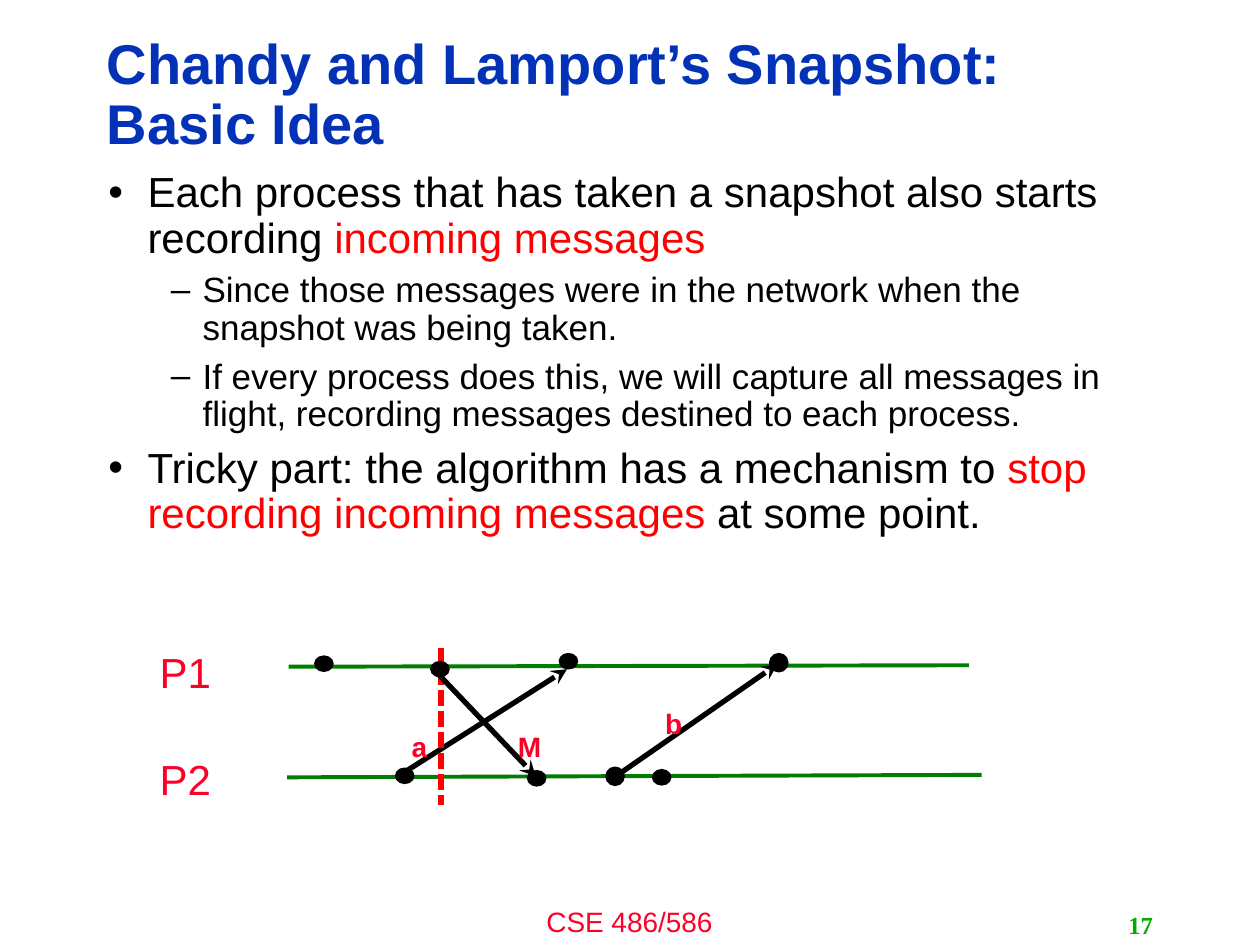
"""Build a slide on the basic idea of the Chandy and Lamport snapshot."""
from lxml.etree import SubElement
from pptx import Presentation
from pptx.dml.color import RGBColor
from pptx.enum.dml import MSO_LINE
from pptx.enum.shapes import MSO_CONNECTOR, MSO_SHAPE
from pptx.enum.text import MSO_ANCHOR, MSO_AUTO_SIZE, PP_ALIGN
from pptx.oxml.ns import qn
from pptx.util import Cm, Pt

HUES = {"title": "0332B7", "text": "000000", "mark": "FF0000",
        "label": "FC0128", "lane": "037C03", "page": "00AE00"}


def style(font, size, hue, bold=False, face="Arial"):
    font.name, font.size, font.bold = face, Pt(size), bold
    font.color.rgb = RGBColor.from_string(HUES[hue])


def place(shape, *box):
    shape.left, shape.top, shape.width, shape.height = map(Cm, box)


deck = Presentation()
deck.slide_width, deck.slide_height = Cm(25.4), Cm(19.05)
slide = deck.slides.add_slide(deck.slide_layouts[1])
shapes = slide.shapes

title, body = slide.placeholders
place(title, 1.9, 0.91, 20.27, 2.06)
frame = title.text_frame
frame.text = "Chandy and Lamport’s Snapshot: Basic Idea"
frame.auto_size = MSO_AUTO_SIZE.NONE
frame.vertical_anchor = MSO_ANCHOR.MIDDLE
para = frame.paragraphs[0]
para.alignment, para.line_spacing = PP_ALIGN.LEFT, 0.9
style(para.runs[0].font, 32, "title", True)

place(body, 1.93, 3.33, 21.34, 13.69)
frame = body.text_frame
frame.auto_size = MSO_AUTO_SIZE.NONE
points = [
    (0, [("Each process that has taken a snapshot also starts recording ", "text"),
         ("incoming messages", "mark")]),
    (1, [("Since those messages were in the network when the snapshot was being taken.",
          "text")]),
    (1, [("If every process does this, we will capture all messages in flight, "
          "recording messages destined to each process.", "text")]),
    (0, [("Tricky part: the algorithm has a mechanism to ", "text"),
         ("stop recording incoming messages", "mark"),
         (" at some point.", "text")]),
]
levels = [(24, 0.79, 0.79, "•"), (20, 1.9, 0.64, "–")]
for i, (level, parts) in enumerate(points):
    para = frame.add_paragraph() if i else frame.paragraphs[0]
    size, left, hang, mark = levels[level]
    para.level = level
    props = para._p.get_or_add_pPr()
    props.set("marL", str(Cm(left)))
    props.set("indent", str(-Cm(hang)))
    SubElement(props, qn("a:buChar")).set("char", mark)
    para.line_spacing = 0.9
    para.space_before = Pt(0.3 * size if i else 0)
    for words, hue in parts:
        run = para.add_run()
        run.text = words
        style(run.font, size, hue)

lines = [
    (5.82, 13.44, 19.53, 13.41, "lane", 2.25),
    (5.79, 15.67, 19.79, 15.62, "lane", 2.25),
    (8.1, 15.6, 11.43, 13.49, "text", 3),
    (8.89, 13.06, 8.89, 16.23, "mark", 3),
    (12.34, 15.7, 15.67, 13.39, "text", 3),
    (8.79, 13.54, 10.8, 15.65, "text", 3),
]
for *ends, hue, width in lines:
    link = shapes.add_connector(MSO_CONNECTOR.STRAIGHT, *map(Cm, ends))
    link.line.color.rgb = RGBColor.from_string(HUES[hue])
    link.line.width = Pt(width)
    props = link._element.spPr
    if hue == "mark":
        link.line.dash_style = MSO_LINE.SQUARE_DOT
    if hue == "text":
        SubElement(props.find(qn("a:ln")), qn("a:tailEnd")).set("type", "stealth")
    SubElement(props, qn("a:effectLst"))

dots = [(6.35, 13.23, 0.3), (7.98, 15.49, 0.3), (13.16, 15.52, 0.3),
        (11.28, 13.18, 0.3), (8.69, 13.34, 0.3), (10.64, 15.54, 0.3),
        (12.22, 15.47, 0.36), (15.52, 13.18, 0.36)]
for x, y, high in dots:
    dot = shapes.add_shape(MSO_SHAPE.OVAL, Cm(x), Cm(y), Cm(0.36), Cm(high))
    dot.shadow.inherit = False
    dot.fill.solid()
    dot.fill.fore_color.rgb = RGBColor.from_string(HUES["text"])
    dot.line.color.rgb = RGBColor.from_string(HUES["text"])
    dot.line.width = Pt(1)

left, mid, right = PP_ALIGN.LEFT, PP_ALIGN.CENTER, PP_ALIGN.RIGHT
labels = [
    ("P1", (2.97, 12.9, 3.2, 1.17), left, (24, "label")),
    ("P2", (2.97, 15.06, 3.2, 1.17), left, (24, "label")),
    ("a", (8.05, 14.58, 1.02, 0.86), left, (16, "label", True)),
    ("b", (13.16, 14.12, 1.02, 0.97), left, (16, "label", True)),
    ("M", (10.19, 14.58, 1.02, 0.86), left, (16, "label", True)),
    ("CSE 486/586", (8.46, 18.11, 8.46, 0.94), mid, (16, "label")),
    ("17", (18.21, 18.24, 5.28, 0.81), right, (14, "page", True, "Times New Roman")),
]
for words, box, align, look in labels:
    frame = shapes.add_textbox(*map(Cm, box)).text_frame
    frame.text = words
    frame.word_wrap = True
    if align == right:
        frame.vertical_anchor = MSO_ANCHOR.MIDDLE
    para = frame.paragraphs[0]
    para.alignment = align
    style(para.runs[0].font, *look)

deck.save("out.pptx")
